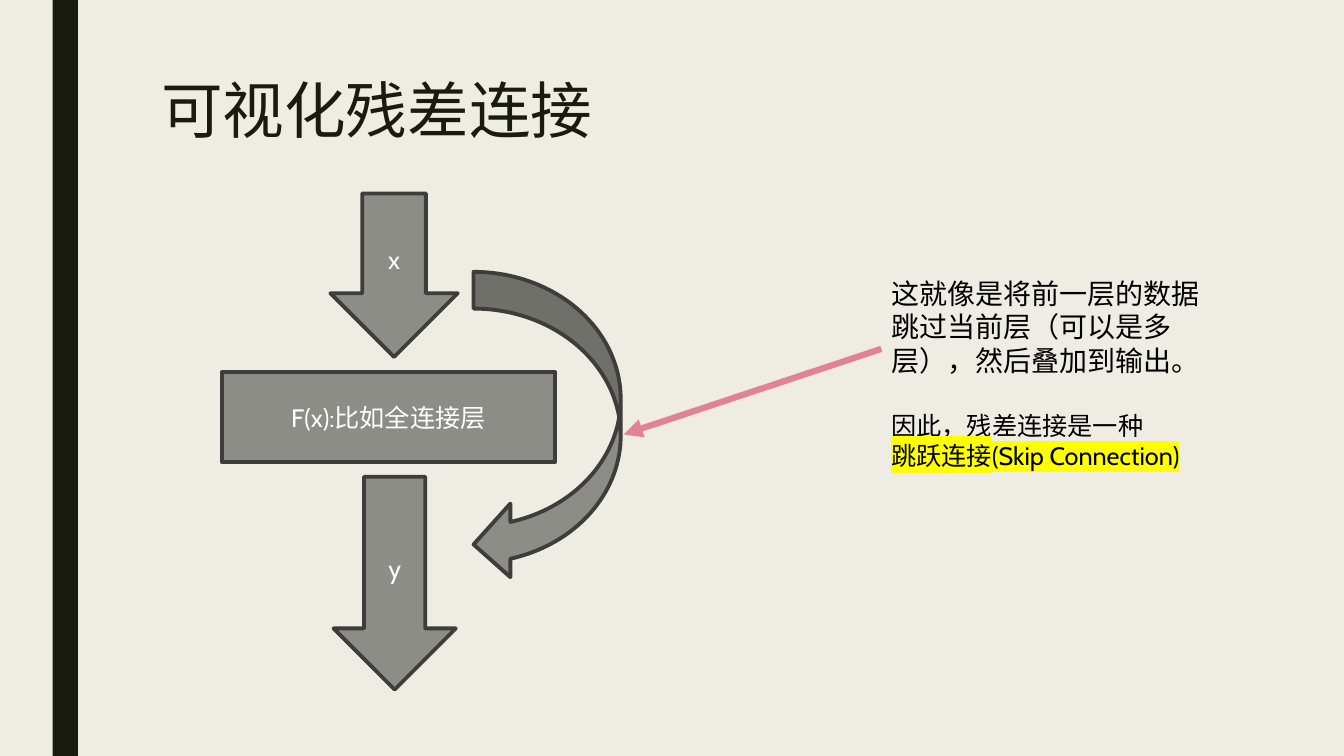
import pptx
import pptx.dml.color
import pptx.enum.shapes
import pptx.enum.text
import pptx.oxml
import pptx.oxml.ns
import pptx.util
from lxml import etree

Pt = pptx.util.Pt
RGB = pptx.dml.color.RGBColor
SHAPE = pptx.enum.shapes.MSO_SHAPE
ANCHOR = pptx.enum.text.MSO_ANCHOR
ALIGN = pptx.enum.text.PP_ALIGN
qn = pptx.oxml.ns.qn

FONT = "Cabin"
PAPER = RGB(0xEF, 0xED, 0xE3)
INK = RGB(0x19, 0x1B, 0x0E)
BLACK = RGB(0, 0, 0)
WHITE = RGB(255, 255, 255)
GRAY = RGB(0x8C, 0x8D, 0x86)
EDGE = RGB(0x3D, 0x3E, 0x3B)
PINK = RGB(0xE2, 0x83, 0x94)
YELLOW = RGB(255, 255, 0)


def style(para, size, color):
    for run in para.runs:
        run.font.size = Pt(size)
        run.font.name = FONT
        run.font.color.rgb = color


def mark(run, color):
    """Highlight a run that already has a text colour."""
    glow = etree.Element(qn("a:highlight"))
    etree.SubElement(glow, qn("a:srgbClr"), val=str(color))
    run.font._element.find(qn("a:solidFill")).addnext(glow)


def add_text(slide, box, text, size, color):
    frame = slide.shapes.add_textbox(*map(Pt, box)).text_frame
    frame.word_wrap = True
    frame.text = text
    for para in frame.paragraphs:
        style(para, size, color)
    return frame


def add_block(slide, kind, box, text=""):
    block = slide.shapes.add_shape(kind, *map(Pt, box))
    block.shadow.inherit = False
    block.fill.solid()
    block.fill.fore_color.rgb = GRAY
    block.line.color.rgb = EDGE
    block.line.width = Pt(2.75)
    if text:
        frame = block.text_frame
        frame.text = text
        frame.vertical_anchor = ANCHOR.MIDDLE
        frame.paragraphs[0].alignment = ALIGN.CENTER
        style(frame.paragraphs[0], 18, WHITE)


def add_frame(slide, width, height):
    """Paper background and the dark bar at the left."""
    slide.background.fill.solid()
    slide.background.fill.fore_color.rgb = PAPER
    bar = slide.shapes.add_shape(
        SHAPE.RECTANGLE, Pt(37.6), 0, Pt(18), Pt(height))
    bar.shadow.inherit = False
    bar.fill.solid()
    bar.fill.fore_color.rgb = INK
    bar.line.fill.background()


def add_title(slide, box):
    frame = add_text(slide, box, "可视化残差连接", 44, INK)
    frame.paragraphs[0].line_spacing = 0.89


def add_flow(slide, left, top):
    """Input, layer and output, with the skip arrow around them."""
    add_block(slide, SHAPE.RECTANGLE,
              (left, top + 127.5, 238, 64.5), "F(x):比如全连接层")
    add_block(slide, SHAPE.DOWN_ARROW,
              (left + 77.5, top, 91, 116.8), "x")
    add_block(slide, SHAPE.DOWN_ARROW,
              (left + 79.7, top + 202.4, 87.4, 152), "y")
    add_block(slide, SHAPE.CURVED_LEFT_ARROW,
              (left + 179.8, top + 56, 105.1, 221))


def add_notes(slide, left, top):
    add_text(slide, (left, top, 242, 104.4),
             "这就像是将前一层的数据跳过当前层（可以是多层），然后叠加到输出。",
             20, BLACK)
    frame = add_text(slide, (left, top + 95.7, 324, 51),
                     "因此，残差连接是一种\n跳跃连接(Skip Connection)",
                     18, BLACK)
    mark(frame.paragraphs[1].runs[0], YELLOW)


def add_pointer(slide, start, end):
    line = slide.shapes.add_connector(
        pptx.enum.shapes.MSO_CONNECTOR.STRAIGHT, *map(Pt, start + end))
    line.line.color.rgb = PINK
    line.line.width = Pt(4.5)
    etree.SubElement(line.line._get_or_add_ln(), qn("a:tailEnd"),
                     type="triangle")
    etree.SubElement(line._element.spPr, qn("a:effectLst"))


def main():
    deck = pptx.Presentation()
    deck.slide_width, deck.slide_height = Pt(960), Pt(540)
    slide = deck.slides.add_slide(deck.slide_layouts[6])
    add_frame(slide, 960, 540)
    add_title(slide, (108, 54, 756, 116.6))
    add_flow(slide, 158.5, 138.2)
    add_notes(slide, 629.6, 193.7)
    add_pointer(slide, (629.6, 249.2), (445.5, 310.3))
    deck.save("out.pptx")


if __name__ == "__main__":
    main()
